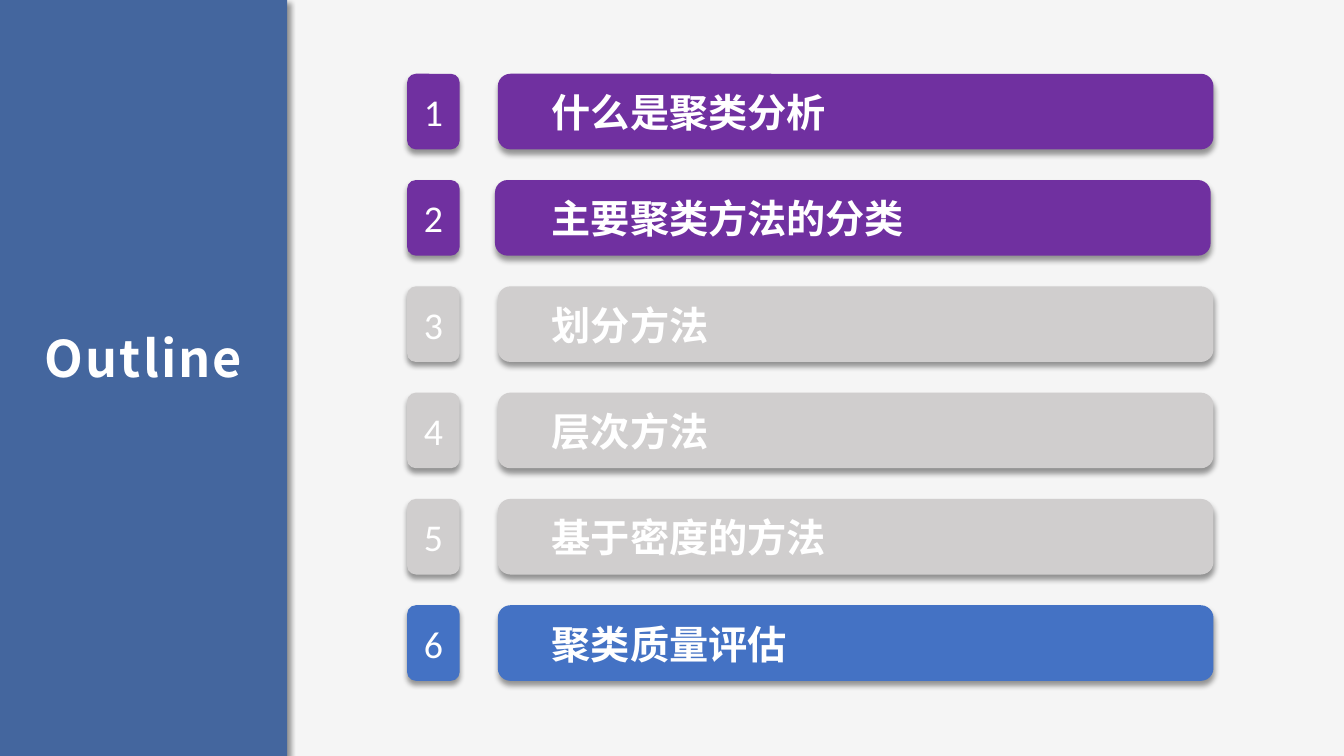
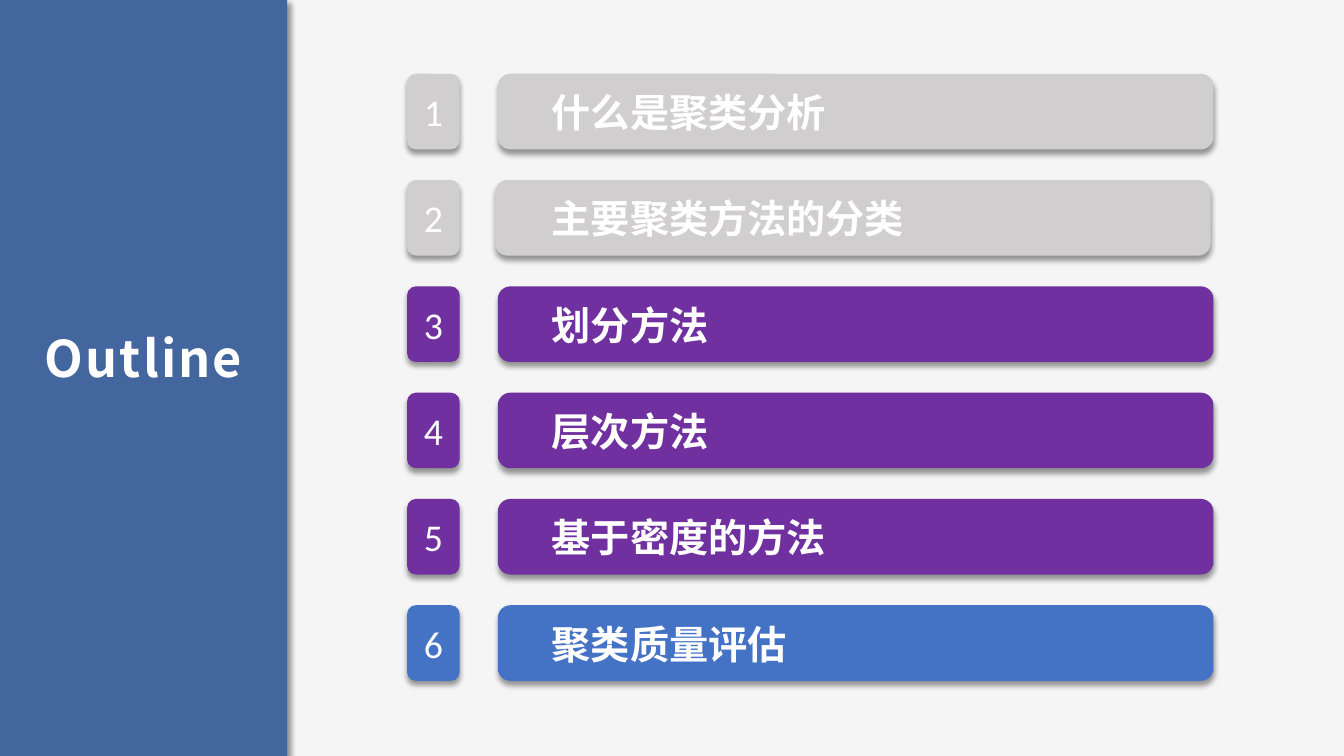
from lxml import etree
from pptx import Presentation
from pptx.dml.color import RGBColor
from pptx.enum.shapes import MSO_SHAPE
from pptx.enum.text import MSO_ANCHOR, MSO_AUTO_SIZE, PP_ALIGN
from pptx.oxml.ns import qn
from pptx.util import Pt

RECTANGLE, ROUNDED = MSO_SHAPE.RECTANGLE, MSO_SHAPE.ROUNDED_RECTANGLE
TOP, MIDDLE = MSO_ANCHOR.TOP, MSO_ANCHOR.MIDDLE
LEFT, CENTER = PP_ALIGN.LEFT, PP_ALIGN.CENTER
NO_AUTOFIT = MSO_AUTO_SIZE.NONE

PAGE_WIDTH, PAGE_HEIGHT = 960, 540
BACKGROUND, BAND, WHITE = "F5F5F5", "44669E", "FFFFFF"
ACTIVE, INACTIVE, FINAL = "7030A0", "D0CECE", "4472C4"
HEADING_FONT, NUMBER_FONT = "Noto Sans CJK SC", "Calibri"

BAND_BOX = (0, 0, 205.2, PAGE_HEIGHT)
LIST_BOX = (290.8, 52.7, 576, 433.6)
ROW_HEIGHT, NUMBER_WIDTH, BAR_OFFSET = 54, 37.5, 64.8
TEXT_INSET = 36

TOPICS = ["什么是聚类分析", "主要聚类方法的分类", "划分方法",
          "层次方法", "基于密度的方法", "聚类质量评估"]
BAR_SHIFTS = {2: -2}
ACTIVE_TOPICS = [{1, 2}, {3, 4, 5}]


def color(value):
    """Turn a hex string into a colour."""
    return RGBColor.from_string(value)


def add_panel(page, kind, box, fill, direction):
    """Add a borderless filled shape with a soft shadow."""
    panel = page.shapes.add_shape(kind, *map(Pt, box))
    panel.fill.solid()
    panel.fill.fore_color.rgb = color(fill)
    panel.line.fill.background()
    panel.shadow.inherit = False
    effects = panel.element.spPr.find(qn("a:effectLst"))
    shadow = etree.SubElement(
        effects, qn("a:outerShdw"), blurRad=str(Pt(4)), dist=str(Pt(3)),
        dir=str(direction * 60000), algn="t", rotWithShape="0")
    black = etree.SubElement(shadow, qn("a:srgbClr"), val="000000")
    etree.SubElement(black, qn("a:alpha"), val="40000")
    return panel


def write(shape, text, size, font, bold=False, align=CENTER, anchor=MIDDLE,
          insets=(7.2, 3.6), spacing=0):
    """Put one line of white text in a shape."""
    frame = shape.text_frame
    frame.text = text
    frame.word_wrap = True
    frame.auto_size = NO_AUTOFIT
    frame.vertical_anchor = anchor
    frame.margin_left, frame.margin_top = map(Pt, insets)
    frame.margin_right, frame.margin_bottom = Pt(7.2), Pt(3.6)
    para = frame.paragraphs[0]
    para.alignment = align
    span = para.runs[0]
    span.font.size = Pt(size)
    span.font.bold = bold
    span.font.name = font
    span.font.color.rgb = color(WHITE)
    properties = span._r.get_or_add_rPr()
    etree.SubElement(properties, qn("a:ea"), typeface=font)
    if spacing:
        properties.set("spc", str(round(spacing * 100)))


def add_title_band(page, box):
    """Draw the side band and set the slide title on it."""
    left, top, width, height = box
    band = add_panel(page, RECTANGLE, box, BAND, 45)
    title = page.shapes.title
    band.element.addnext(title.element)
    title.left, title.top = Pt(left + 19.8), Pt(top + 229.7)
    title.width, title.height = Pt(width - 39.6), Pt(51)
    write(title, "Outline", 36, HEADING_FONT, bold=True, anchor=TOP,
          spacing=1.5)


def add_topic(page, box, number, topic, fill):
    """Draw one numbered row of the outline."""
    left, top, width, height = box
    tile = add_panel(page, ROUNDED, (left, top, NUMBER_WIDTH, height), fill, 90)
    write(tile, str(number), 27, NUMBER_FONT)
    shift = BAR_SHIFTS.get(number, 0)
    bar_box = (left + BAR_OFFSET + shift, top, width - BAR_OFFSET, height)
    bar = add_panel(page, ROUNDED, bar_box, fill, 90)
    write(bar, topic, 28, HEADING_FONT, bold=True, align=LEFT, anchor=TOP,
          insets=(TEXT_INSET - shift, 7.9))


def add_topic_list(page, box, active):
    """Spread the topics evenly over the box, with the active ones lit."""
    left, top, width, height = box
    pitch = (height - ROW_HEIGHT) / (len(TOPICS) - 1)
    for number, topic in enumerate(TOPICS, 1):
        fill = ACTIVE if number in active else INACTIVE
        if number == len(TOPICS):
            fill = FINAL
        row_box = (left, top + (number - 1) * pitch, width, ROW_HEIGHT)
        add_topic(page, row_box, number, topic, fill)


def add_outline_page(deck, active):
    """Add an outline slide with the given topics lit."""
    page = deck.slides.add_slide(deck.slide_layouts.get_by_name("Title Only"))
    add_title_band(page, BAND_BOX)
    add_topic_list(page, LIST_BOX, active)


def main():
    """Build and save the deck."""
    deck = Presentation()
    deck.slide_width, deck.slide_height = Pt(PAGE_WIDTH), Pt(PAGE_HEIGHT)
    backdrop = deck.slide_master.background.fill
    backdrop.solid()
    backdrop.fore_color.rgb = color(BACKGROUND)
    for active in ACTIVE_TOPICS:
        add_outline_page(deck, active)
    deck.save("out.pptx")


if __name__ == "__main__":
    main()
